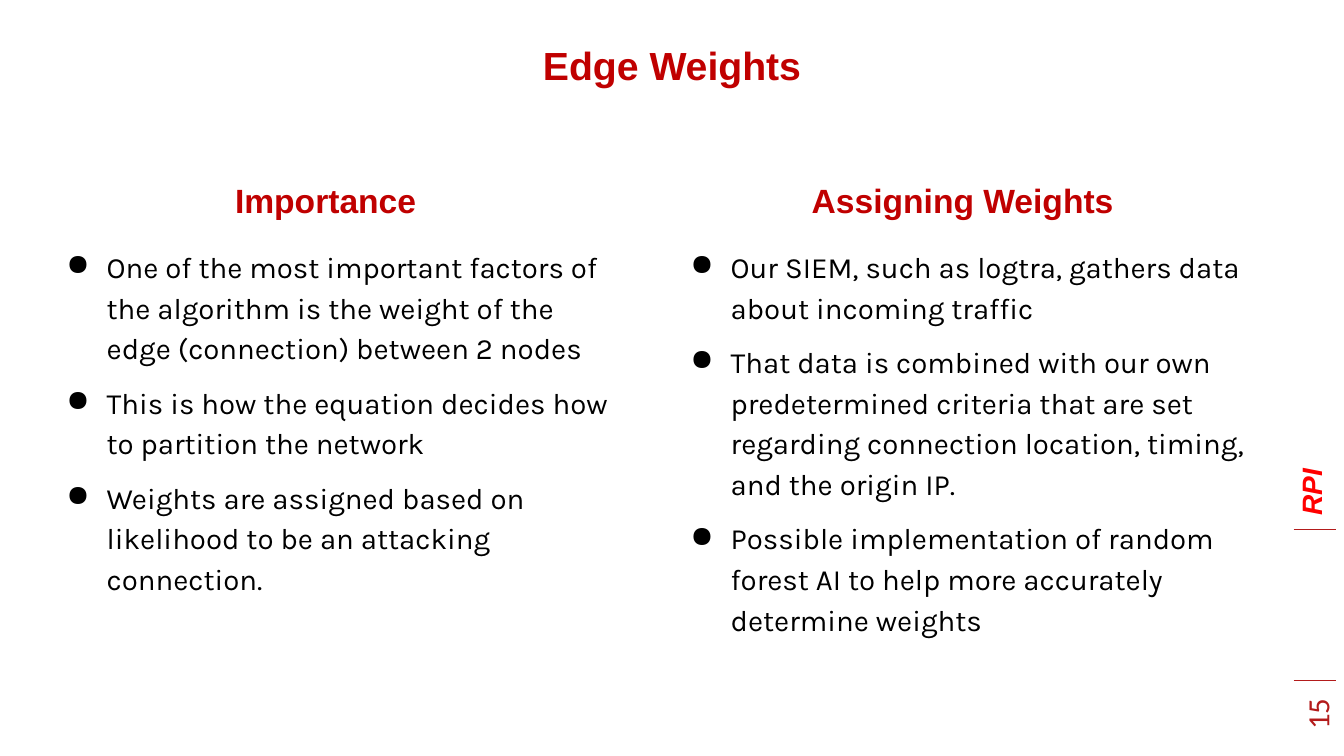
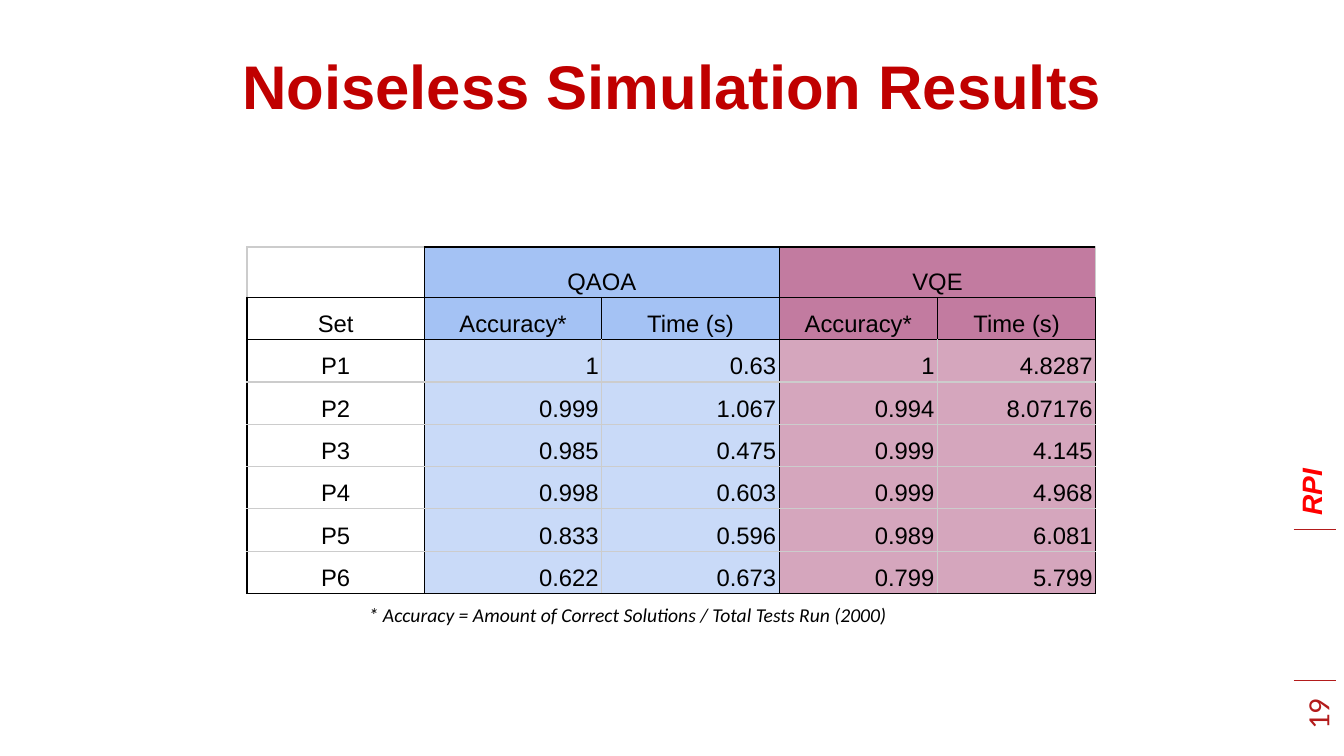
import pptx
import pptx.util
import pptx.dml.color
import pptx.enum.shapes
import pptx.enum.text
import pptx.oxml.ns
import lxml.etree

RGBColor = pptx.dml.color.RGBColor
Pt = pptx.util.Pt
Inches = pptx.util.Inches
ALIGN = pptx.enum.text.PP_ALIGN
ANCHOR = pptx.enum.text.MSO_ANCHOR
qn = pptx.oxml.ns.qn

# Shared colours
TITLE_RED = RGBColor(0xC0, 0x00, 0x00)
RAIL_RED = RGBColor(0xB3, 0x1B, 0x1B)
BRAND_RED = RGBColor(0xFF, 0x00, 0x00)
BLACK = RGBColor(0x00, 0x00, 0x00)
GRAY = RGBColor(0xCC, 0xCC, 0xCC)
BLUE = RGBColor(0xA4, 0xC2, 0xF4)
PALE_BLUE = RGBColor(0xC9, 0xDA, 0xF8)
PINK = RGBColor(0xC2, 0x7B, 0xA0)
PALE_PINK = RGBColor(0xD5, 0xA6, 0xBD)

prs = pptx.Presentation()
prs.slide_width, prs.slide_height = Inches(13.33), Inches(7.5)


def area(x, y, w, h):
    """Turn percentages of the slide into left, top, width, height."""
    across, down = prs.slide_width / 100, prs.slide_height / 100
    return int(x * across), int(y * down), int(w * across), int(h * down)


def write(tf, text, size, color, font="Arial", bold=False, italic=False,
          align=ALIGN.LEFT, anchor=ANCHOR.TOP):
    tf.text = text
    tf.word_wrap = True
    tf.vertical_anchor = anchor
    for p in tf.paragraphs:
        p.alignment = align
        for r in p.runs:
            r.font.size, r.font.name = Pt(size), font
            r.font.bold, r.font.italic = bold, italic
            r.font.color.rgb = color


# Both slides: title and the rail on the right
slides = [
    ("Edge Weights", 28, (10.2, 4.8, 79.6, 7.6), ANCHOR.TOP, 1, "15"),
    ("Noiseless Simulation Results", 44, (6.9, 4.53, 86.25, 14.67), ANCHOR.MIDDLE, 0.9, "19"),
]
for title, size, place, anchor, spacing, number in slides:
    s = prs.slides.add_slide(prs.slide_layouts[5])
    sp = s.shapes.title
    sp.left, sp.top, sp.width, sp.height = area(*place)
    write(sp.text_frame, title, size, TITLE_RED, bold=True, align=ALIGN.CENTER, anchor=anchor)
    sp.text_frame.auto_size = pptx.enum.text.MSO_AUTO_SIZE.NONE
    sp.text_frame.paragraphs[0].line_spacing = spacing

    # Slide number
    sp = s.shapes.add_textbox(*area(95, 91.07, 5, 8.93))
    sp.rotation = 270
    tf = sp.text_frame
    write(tf, number, 22, RAIL_RED, "Calibri", align=ALIGN.RIGHT, anchor=ANCHOR.BOTTOM)
    tf.margin_left = Inches(0.12)
    tf.margin_top = tf.margin_bottom = Inches(0.1)
    tf.paragraphs[0].line_spacing = 0.64

    # School name
    sp = s.shapes.add_textbox(*area(94.2, 60.53, 6.75, 5.87))
    sp.rotation = 270
    write(sp.text_frame, "RPI", 20, BRAND_RED, bold=True, italic=True)

    # Rail rules
    for y in (70, 90):
        left, top, width, height = area(96.25, y, 3.13, 0)
        rule = s.shapes.add_connector(pptx.enum.shapes.MSO_CONNECTOR.STRAIGHT,
                                      left, top, left + width, top)
        rule.line.color.rgb, rule.line.width = RAIL_RED, Pt(0.75)
        lxml.etree.SubElement(rule._element.spPr, qn("a:effectLst"))

# Slide 1: two headed lists
s = prs.slides[0]
columns = [
    ("Importance", 10.2, 3.45, 50.93, [
        "One of the most important factors of the algorithm is the weight of the edge "
        "(connection) between 2 nodes",
        "This is how the equation decides how to partition the network",
        "Weights are assigned based on likelihood to be an attacking connection."]),
    ("Assigning Weights", 57.6, 49.88, 62.8, [
        "Our SIEM, such as logtra, gathers data about incoming traffic",
        "That data is combined with our own predetermined criteria that are set regarding "
        "connection location, timing, and the origin IP.",
        "Possible implementation of random forest AI to help more accurately determine weights"]),
]
for heading, heading_x, list_x, list_h, points in columns:
    sp = s.shapes.add_textbox(*area(heading_x, 23.2, 28.05, 6.67))
    write(sp.text_frame, heading, 24, TITLE_RED, bold=True, align=ALIGN.CENTER)

    tf = s.shapes.add_textbox(*area(list_x, 31.6, 43.5, list_h)).text_frame
    write(tf, "\n".join(points), 21, BLACK, "Karla")
    for i, p in enumerate(tf.paragraphs):
        pPr = p._p.get_or_add_pPr()
        pPr.set("marL", str(Inches(0.5)))
        pPr.set("indent", str(Inches(-0.4)))
        bullet_color = lxml.etree.SubElement(pPr, qn("a:buClr"))
        lxml.etree.SubElement(bullet_color, qn("a:srgbClr"), val=str(BLACK))
        lxml.etree.SubElement(pPr, qn("a:buChar"), char="●")
        p.line_spacing = 1.15
        if i:
            p.space_before = Pt(10)
    p.space_after = Pt(10)

# Slide 2: results table
s = prs.slides[1]
rows = [
    ["", "QAOA", "", "VQE", ""],
    ["Set", "Accuracy*", "Time (s)", "Accuracy*", "Time (s)"],
    ["P1", "1", "0.63", "1", "4.8287"],
    ["P2", "0.999", "1.067", "0.994", "8.07176"],
    ["P3", "0.985", "0.475", "0.999", "4.145"],
    ["P4", "0.998", "0.603", "0.999", "4.968"],
    ["P5", "0.833", "0.596", "0.989", "6.081"],
    ["P6", "0.622", "0.673", "0.799", "5.799"],
]
widths = [13.2, 13.2, 13.2, 11.78, 11.78]
heights = [6.67] + [5.6] * 7
table = s.shapes.add_table(len(rows), len(widths),
                           *area(18.38, 32.67, sum(widths), sum(heights))).table
table.first_row = table.horz_banding = False
for column, width in zip(table.columns, widths):
    column.width = area(0, 0, width, 0)[2]
for row, height in zip(table.rows, heights):
    row.height = area(0, 0, 0, height)[3]

head_fills = [None, BLUE, BLUE, PINK, PINK]
body_fills = [None, PALE_BLUE, PALE_BLUE, PALE_PINK, PALE_PINK]
for i, row in enumerate(rows):
    for j, text in enumerate(row):
        cell = table.cell(i, j)
        cell.margin_left = cell.margin_right = Inches(0.03)
        cell.margin_top = cell.margin_bottom = Inches(0.02)
        align = ALIGN.RIGHT if i > 1 and j else ALIGN.CENTER
        write(cell.text_frame, text, 17, BLACK, align=align)
        cell.vertical_anchor = ANCHOR.BOTTOM
        cell.text_frame.paragraphs[0].line_spacing = 1.15

        # Black lines frame the groups, gray lines part the values
        tcPr = cell._tc.get_or_add_tcPr()
        sides = {
            "a:lnL": i == 1 or j in (1, 3) or (j == 0 and i > 0),
            "a:lnR": i == 1 or j in (0, 2, 4),
            "a:lnT": i in (1, 2) or (i == 0 and j > 0),
            "a:lnB": i in (0, 1, len(rows) - 1),
        }
        for side, dark in sides.items():
            ln = lxml.etree.SubElement(tcPr, qn(side), w=str(Pt(0.94)))
            solid = lxml.etree.SubElement(ln, qn("a:solidFill"))
            lxml.etree.SubElement(solid, qn("a:srgbClr"), val=str(BLACK if dark else GRAY))

        fill = (head_fills if i < 2 else body_fills)[j]
        if fill is None:
            cell.fill.background()
        else:
            cell.fill.solid()
            cell.fill.fore_color.rgb = fill
for j in (1, 3):
    table.cell(0, j).merge(table.cell(0, j + 1))

# Footnote
tf = s.shapes.add_textbox(*area(26.7, 78.4, 46.57, 8.93)).text_frame
write(tf, "* Accuracy = Amount of Correct Solutions / Total Tests Run (2000)", 14, BLACK,
      "Calibri", italic=True)
tf.margin_top = tf.margin_bottom = Inches(0.1)

prs.save("out.pptx")
